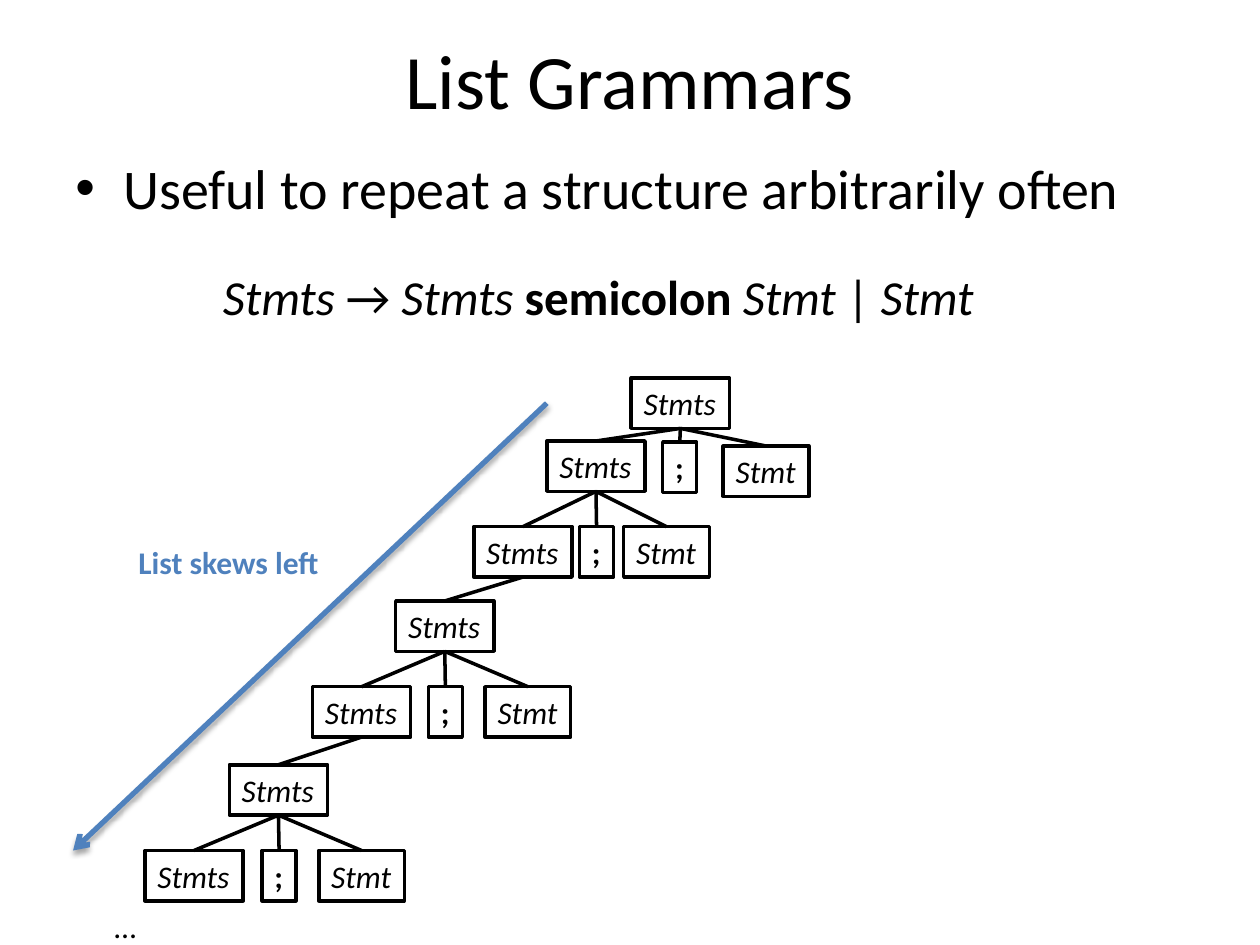
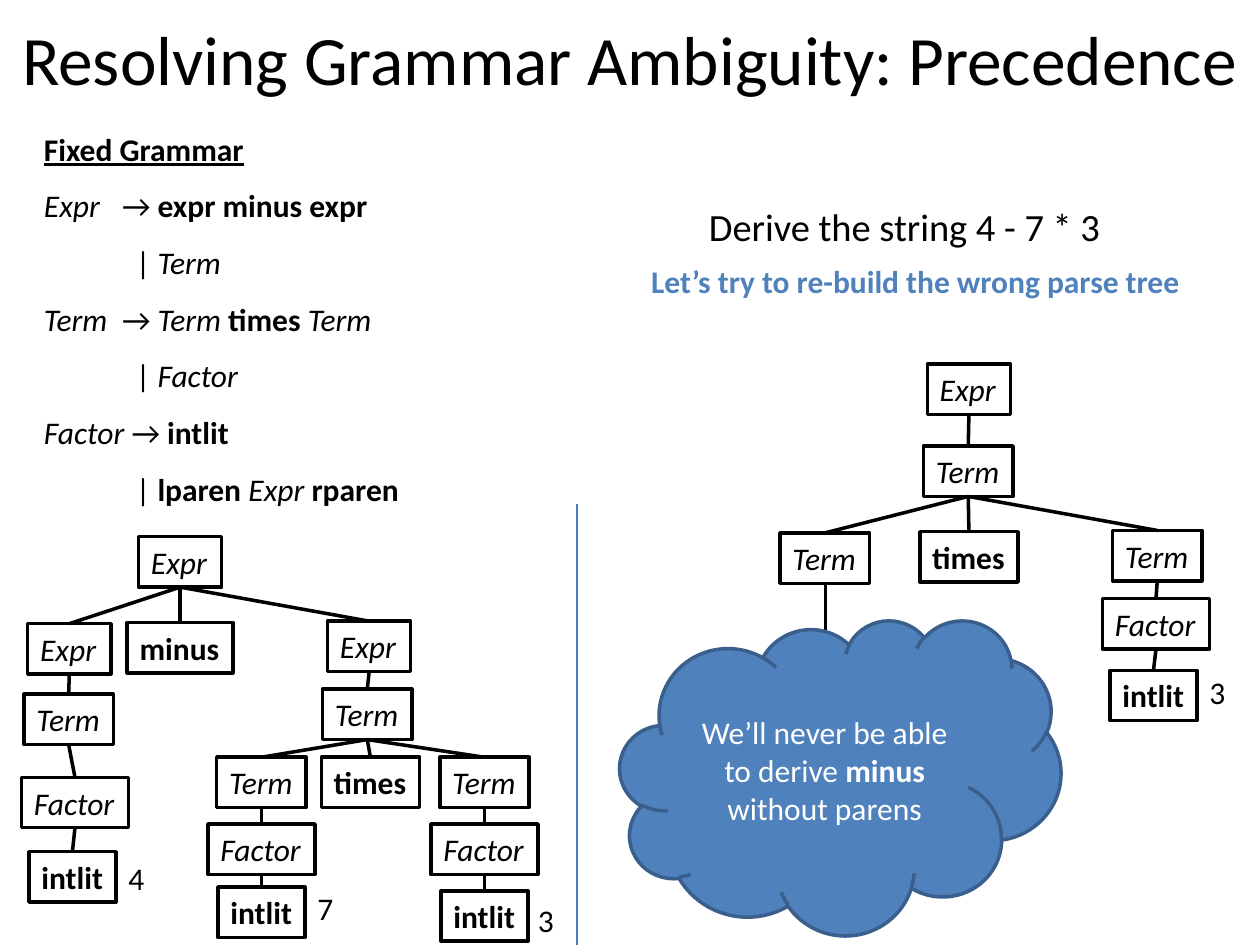
"""Build two lecture slides on list grammars and grammar precedence."""
from dataclasses import dataclass
from typing import NamedTuple, Optional

from lxml.etree import SubElement
from pptx import Presentation
from pptx.dml.color import RGBColor
from pptx.enum.shapes import MSO_CONNECTOR as Connector, MSO_SHAPE as Preset
from pptx.enum.text import MSO_ANCHOR as Anchor, MSO_AUTO_SIZE as AutoSize, PP_ALIGN as Align
from pptx.oxml.ns import qn
from pptx.util import Inches, Pt

COLORS = {
    "black": "000000",
    "white": "FFFFFF",
    "accent": "4F81BD",
    "cloud_edge": "3A5F8C",
    "divider": "4B7EBC",
}
FONT = "Calibri"
STYLES = {
    "plain": {},
    "rule": {"italic": True},
    "token": {"bold": True},
    "heading": {"bold": True, "underline": True},
}
BOX_WIDTHS = {
    "Stmts": 0.78, "Stmt": 0.68, ";": 0.27, "Expr": 0.66, "Term": 0.71,
    "Factor": 0.85, "minus": 0.84, "times": 0.78, "intlit": 0.69,
}
TOKENS = {";", "minus", "times", "intlit"}
BOX_HEIGHT = 0.4
TOP, BOTTOM = 0, 2


class Run(NamedTuple):
    text: str
    style: str = "plain"


@dataclass
class Line:
    runs: tuple[Run, ...]
    indent: float = 0
    hanging: float = 0
    tab: float = 0
    bullet: str = ""


@dataclass
class TextBlock:
    left: float
    top: float
    width: float
    height: float
    lines: list[Line]
    size: float = 18
    color: str = "black"
    align: Align = Align.LEFT
    anchor: Anchor = Anchor.TOP
    wrap: bool = False
    spacing: float = 1.0


@dataclass
class Node:
    label: str
    left: float
    top: float
    children: tuple["Node", ...] = ()


def line_of(text: str, style: str = "plain") -> Line:
    return Line((Run(text, style),))


def format_paragraph(paragraph, line: Line) -> None:
    properties = paragraph._p.get_or_add_pPr()
    if line.indent:
        properties.set("marL", str(Inches(line.indent)))
        properties.set("indent", str(Inches(-line.hanging)))
    if line.bullet:
        SubElement(properties, qn("a:buFont"), typeface="Arial")
        SubElement(properties, qn("a:buChar"), char=line.bullet)
    if line.tab:
        tabs = SubElement(properties, qn("a:tabLst"))
        SubElement(tabs, qn("a:tab"), pos=str(Inches(line.tab)), algn="l")


def fill_text(shape, block: TextBlock) -> None:
    frame = shape.text_frame
    frame_format = {
        "word_wrap": block.wrap,
        "vertical_anchor": block.anchor,
        "auto_size": AutoSize.NONE if block.wrap else AutoSize.SHAPE_TO_FIT_TEXT,
    }
    for name, value in frame_format.items():
        setattr(frame, name, value)
    for index, line in enumerate(block.lines):
        paragraph = frame.add_paragraph() if index else frame.paragraphs[0]
        paragraph.alignment = block.align
        paragraph.line_spacing = block.spacing
        format_paragraph(paragraph, line)
        for text, style in line.runs:
            run = paragraph.add_run()
            run.text = text
            font_format = {"name": FONT, "size": Pt(block.size), **STYLES[style]}
            for name, value in font_format.items():
                setattr(run.font, name, value)
            run.font.color.rgb = RGBColor.from_string(COLORS[block.color])


def add_text(slide, block: TextBlock) -> None:
    area = [Inches(v) for v in (block.left, block.top, block.width, block.height)]
    fill_text(slide.shapes.add_textbox(*area), block)


def add_title(slide, text: str, top: float, size: float) -> None:
    add_text(slide, TextBlock(0, top, 10, 1.25, [line_of(text)], size,
                              align=Align.CENTER, anchor=Anchor.MIDDLE, wrap=True))


def add_filled(slide, preset: Preset, fill: str, edge: str, block: TextBlock):
    area = [Inches(v) for v in (block.left, block.top, block.width, block.height)]
    shape = slide.shapes.add_shape(preset, *area)
    shape.shadow.inherit = False
    shape.fill.solid()
    shape.fill.fore_color.rgb = RGBColor.from_string(COLORS[fill])
    shape.line.color.rgb = RGBColor.from_string(COLORS[edge])
    shape.line.width = Pt(2)
    fill_text(shape, block)
    return shape


def add_line(slide, start: tuple[float, float], end: tuple[float, float],
             color: str = "black", width: float = 2):
    points = [Inches(v) for v in (*start, *end)]
    connector = slide.shapes.add_connector(Connector.STRAIGHT, *points)
    connector.line.color.rgb = RGBColor.from_string(COLORS[color])
    connector.line.width = Pt(width)
    SubElement(connector._element.spPr, qn("a:effectLst"))
    return connector


def add_arrow(slide, start: tuple[float, float], end: tuple[float, float]) -> None:
    connector = add_line(slide, start, end, "accent", 3)
    SubElement(connector.line._get_or_add_ln(), qn("a:tailEnd"), type="arrow")
    effects = connector._element.spPr.find(qn("a:effectLst"))
    shadow = SubElement(effects, qn("a:outerShdw"), blurRad=str(Pt(3.1)),
                        dist=str(Pt(1.8)), dir="5400000", rotWithShape="0")
    color = SubElement(shadow, qn("a:srgbClr"), val=COLORS["black"])
    SubElement(color, qn("a:alpha"), val="35000")


def add_tree(slide, node: Node, parent: Optional[object] = None) -> None:
    style = "token" if node.label in TOKENS else "rule"
    block = TextBlock(node.left, node.top, BOX_WIDTHS[node.label], BOX_HEIGHT,
                      [line_of(node.label, style)])
    box = add_filled(slide, Preset.RECTANGLE, "white", "black", block)
    if parent is not None:
        branch = add_line(slide, (0, 0), (1, 1))
        branch.begin_connect(parent, BOTTOM)
        branch.end_connect(box, TOP)
    for child in node.children:
        add_tree(slide, child, box)


def add_values(slide, values: tuple[tuple[str, float, float], ...]) -> None:
    for text, left, top in values:
        add_text(slide, TextBlock(left, top, 0.33, BOX_HEIGHT, [line_of(text)]))


def build_list_grammars(slide) -> None:
    add_title(slide, "List Grammars", 0, 44)
    bullet = Line((Run("Useful to repeat a structure arbitrarily often"),), 0.38, 0.38, bullet="•")
    add_text(slide, TextBlock(0.5, 1.17, 9, 0.65, [bullet], 32, wrap=True))
    production = Line((Run("Stmts", "rule"), Run(" → "), Run("Stmts ", "rule"),
                       Run("semicolon ", "token"), Run("Stmt ", "rule"),
                       Run("| "), Run("Stmt", "rule")))
    add_text(slide, TextBlock(1.67, 1.83, 8.17, 0.81, [production], 28, wrap=True, spacing=1.5))

    fifth_level = Node("Stmts", 1.82, 6.07, (
        Node("Stmts", 1.15, 6.75), Node(";", 2.08, 6.75), Node("Stmt", 2.53, 6.75)))
    third_level = Node("Stmts", 3.14, 4.77, (
        Node("Stmts", 2.48, 5.45, (fifth_level,)),
        Node(";", 3.4, 5.45), Node("Stmt", 3.85, 5.45)))
    first_level = Node("Stmts", 4.34, 3.5, (
        Node("Stmts", 3.76, 4.18, (third_level,)),
        Node(";", 4.6, 4.18), Node("Stmt", 4.95, 4.18)))
    add_tree(slide, Node("Stmts", 5.01, 3, (
        first_level, Node(";", 5.26, 3.51), Node("Stmt", 5.74, 3.54))))

    add_arrow(slide, (4.34, 3.2), (0.58, 6.75))
    add_text(slide, TextBlock(1, 4.26, 1.65, BOX_HEIGHT,
                              [line_of("List skews left", "token")], color="accent"))
    add_text(slide, TextBlock(0.81, 7.15, 0.38, BOX_HEIGHT, [line_of("…")]))


def build_precedence(slide) -> None:
    add_title(slide, "Resolving Grammar Ambiguity: Precedence", -0.17, 39.6)
    arrow_tab, bar_indent = 0.62, 0.73
    grammar = [
        line_of("Fixed Grammar", "heading"),
        Line((Run("Expr\t", "rule"), Run("→ "), Run("expr minus expr", "token")), tab=arrow_tab),
        Line((Run("| "), Run("Term", "rule")), bar_indent),
        Line((Run("Term\t", "rule"), Run("→ "), Run("Term ", "rule"),
              Run("times ", "token"), Run("Term", "rule")), tab=arrow_tab),
        Line((Run("| "), Run("Factor", "rule")), bar_indent),
        Line((Run("Factor ", "rule"), Run("→ "), Run("intlit", "token"))),
        Line((Run("| "), Run("lparen ", "token"), Run("Expr ", "rule"),
              Run("rparen", "token")), bar_indent),
    ]
    add_text(slide, TextBlock(0.25, 0.83, 3.25, 3.28, grammar, wrap=True, spacing=1.5))

    left_operand = Node("Expr", 0.22, 4.95, (Node("Term", 0.19, 5.51, (
        Node("Factor", 0.17, 6.17, (Node("intlit", 0.23, 6.76),)),)),))
    product = Node("Term", 2.56, 5.47, (
        Node("Term", 1.72, 6.01, (Node("Factor", 1.65, 6.54, (Node("intlit", 1.73, 7.04),)),)),
        Node("times", 2.55, 6.01),
        Node("Term", 3.49, 6.01, (Node("Factor", 3.42, 6.54, (Node("intlit", 3.5, 7.07),)),))))
    add_tree(slide, Node("Expr", 1.1, 4.26, (
        left_operand, Node("minus", 1.01, 4.94), Node("Expr", 2.6, 4.93, (product,)))))

    right_factor = Node("Factor", 8.75, 4.75, (Node("intlit", 8.81, 5.32),))
    add_tree(slide, Node("Expr", 7.36, 2.89, (Node("Term", 7.33, 3.54, (
        Node("Term", 6.19, 4.23), Node("times", 7.3, 4.22),
        Node("Term", 8.83, 4.21, (right_factor,)))),)))
    add_values(slide, (("4", 0.92, 6.77), ("7", 2.42, 7.01), ("3", 4.17, 7.1), ("3", 9.5, 5.29)))

    add_text(slide, TextBlock(5.51, 1.56, 3.34, 0.47, [line_of("Derive the string 4 - 7 * 3")],
                              22, align=Align.CENTER))
    add_text(slide, TextBlock(5.07, 2.03, 4.43, BOX_HEIGHT,
                              [line_of("Let’s try to re-build the wrong parse tree", "token")],
                              color="accent"))
    add_line(slide, (4.58, 4), (4.58, 7.5), "divider", 0.75)
    add_line(slide, (6.55, 4.63), (6.55, 5.07))
    message = [Line((Run("We’ll never be able to derive "), Run("minus", "token"))),
               line_of("without parens")]
    add_filled(slide, Preset.CLOUD, "accent", "cloud_edge",
               TextBlock(4.92, 4.92, 3.5, 2.5, message, color="white",
                         align=Align.CENTER, anchor=Anchor.MIDDLE, wrap=True))


def main() -> None:
    presentation = Presentation()
    presentation.slide_width, presentation.slide_height = Inches(10), Inches(7.5)
    blank = presentation.slide_layouts[6]
    for build in (build_list_grammars, build_precedence):
        build(presentation.slides.add_slide(blank))
    presentation.save("out.pptx")


if __name__ == "__main__":
    main()
